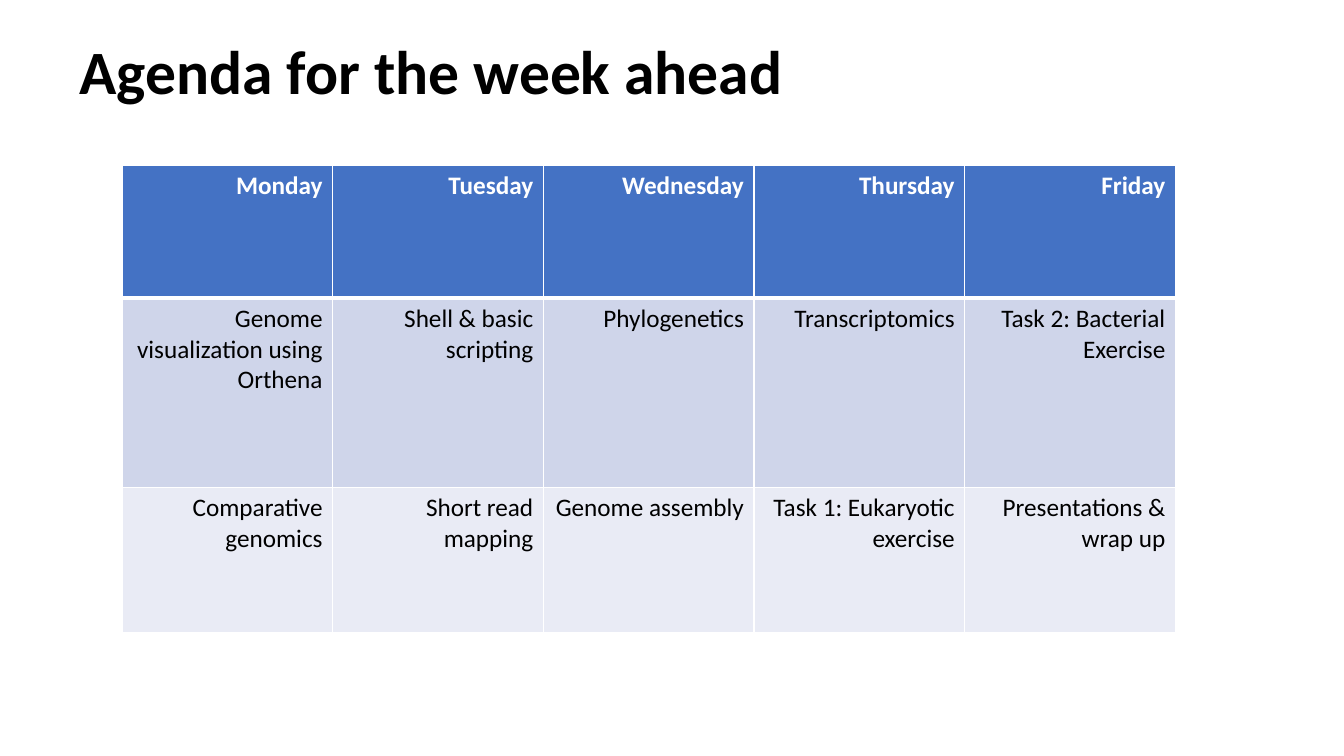
import pptx
import pptx.util
import pptx.dml.color
import pptx.enum.text
import pptx.oxml
import pptx.oxml.ns

Inches = pptx.util.Inches
Pt = pptx.util.Pt
RGBColor = pptx.dml.color.RGBColor
ALIGN = pptx.enum.text.PP_ALIGN
ANCHOR = pptx.enum.text.MSO_ANCHOR

FONT = "Calibri"
WHITE = RGBColor(0xFF, 0xFF, 0xFF)
BLACK = RGBColor(0x00, 0x00, 0x00)
BLUE = RGBColor(0x44, 0x72, 0xC4)
MID = RGBColor(0xCF, 0xD5, 0xEA)
PALE = RGBColor(0xE9, 0xEB, 0xF5)

# Each row: height, fill, text colour, bold, cell texts
ROWS = [
    (1.32, BLUE, WHITE, True,
     ["Monday", "Tuesday", "Wednesday", "Thursday", "Friday"]),
    (1.88, MID, BLACK, False,
     ["Genome visualization using Orthena", "Shell & basic scripting",
      "Phylogenetics", "Transcriptomics", "Task 2: Bacterial Exercise"]),
    (1.44, PALE, BLACK, False,
     ["Comparative genomics", "Short read mapping", "Genome assembly",
      "Task 1: Eukaryotic exercise", "Presentations & wrap up"]),
]


def set_font(para, size, color, bold):
    font = para.font
    font.name = FONT
    font.size = Pt(size)
    font.bold = bold
    font.color.rgb = color


def add_edge(cell, side, width):
    line = pptx.oxml.parse_xml(
        f'<a:ln{side} {pptx.oxml.ns.nsdecls("a")} w="{Pt(width)}">'
        f'<a:solidFill><a:srgbClr val="{WHITE}"/></a:solidFill></a:ln{side}>')
    cell._tc.get_or_add_tcPr().append(line)


def add_title(slide, text):
    box = slide.shapes.add_textbox(
        Inches(0), Inches(0.01), Inches(11.5), Inches(1.45))
    frame = box.text_frame
    frame.word_wrap = True
    frame.vertical_anchor = ANCHOR.MIDDLE
    frame.margin_left = Inches(0.79)
    para = frame.paragraphs[0]
    para.text = text
    para.line_spacing = 0.9
    set_font(para, 44, BLACK, True)


def fill_cell(cell, text, edges, fill, color, bold):
    # Edges must come before the fill in the cell properties
    for side, width in edges.items():
        add_edge(cell, side, width)
    cell.fill.solid()
    cell.fill.fore_color.rgb = fill
    para = cell.text_frame.paragraphs[0]
    para.text = text
    para.alignment = ALIGN.RIGHT
    set_font(para, 18, color, bold)


def add_agenda(slide):
    table = slide.shapes.add_table(
        len(ROWS), 5, Inches(1.21), Inches(1.64),
        Inches(10.45), Inches(4.64)).table
    for col in table.columns:
        col.width = Inches(2.09)
    for i, (height, fill, color, bold, texts) in enumerate(ROWS):
        table.rows[i].height = Inches(height)
        # A thick rule parts the header from the body
        edges = {"L": 1, "R": 1, "T": 3 if i == 1 else 1,
                 "B": 3 if i == 0 else 1}
        for j, text in enumerate(texts):
            fill_cell(table.cell(i, j), text, edges, fill, color, bold)


def main():
    deck = pptx.Presentation()
    deck.slide_width = Inches(13.33)
    deck.slide_height = Inches(7.5)
    slide = deck.slides.add_slide(deck.slide_layouts[6])
    add_agenda(slide)
    add_title(slide, "Agenda for the week ahead")
    deck.save("out.pptx")


if __name__ == "__main__":
    main()
